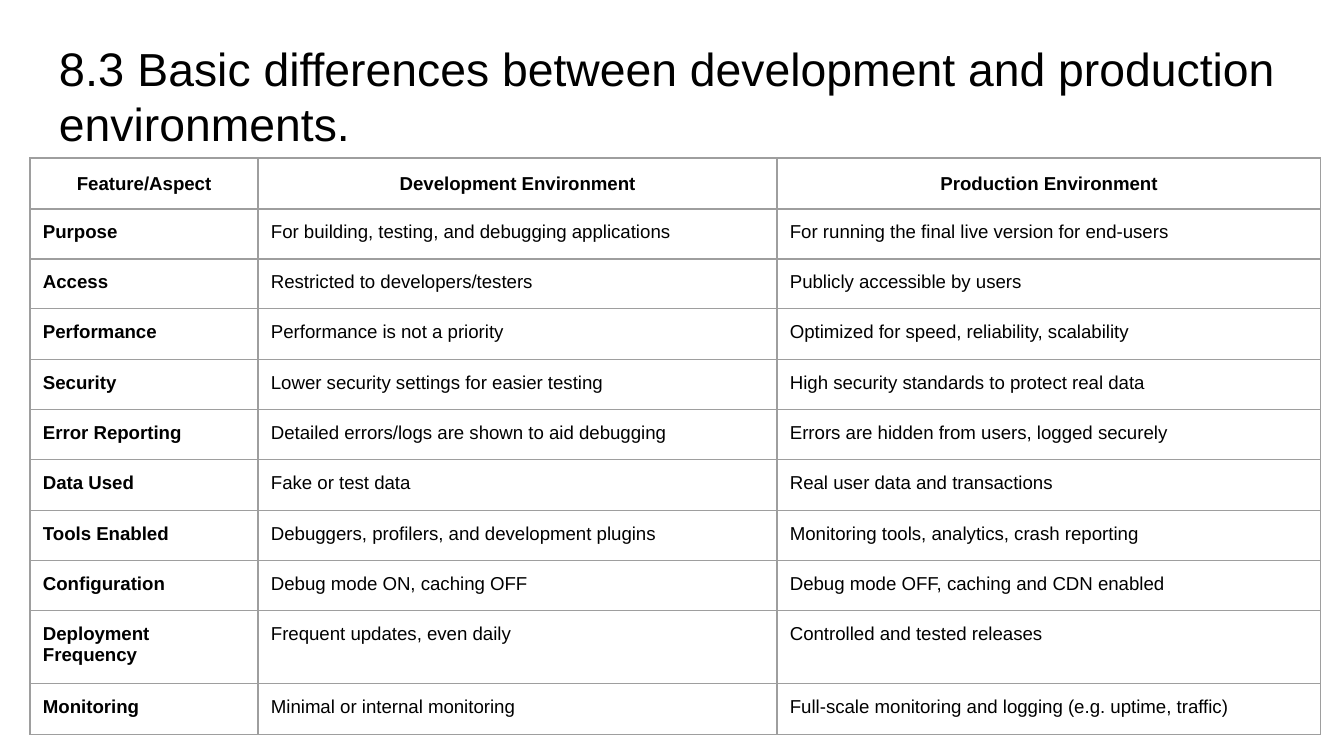
from dataclasses import dataclass

from lxml.etree import SubElement
from pptx import Presentation
from pptx.dml.color import RGBColor
from pptx.enum.text import MSO_ANCHOR as Anchor, MSO_AUTO_SIZE as AutoSize, PP_ALIGN as Align
from pptx.oxml.ns import qn
from pptx.util import Emu, Pt

EMU_PER_PX = 914400 / 134.4


def px(length):
    return Emu(round(length * EMU_PER_PX))


@dataclass(frozen=True)
class Theme:
    font: str = "Arial"
    ink: str = "000000"
    rule: str = "9E9E9E"
    number_size: float = 25.2
    title_size: float = 24.8
    table_size: float = 10
    rule_width: float = 0.75
    inset: int = 13
    title_inset_top: int = 19


class SlideBuilder:
    def __init__(self, deck, theme):
        self.theme = theme
        self.slide = deck.slides.add_slide(deck.slide_layouts[5])

    def format_run(self, run, size, bold=False):
        run.font.name = self.theme.font
        run.font.size = Pt(size)
        run.font.bold = bold
        run.font.color.rgb = RGBColor.from_string(self.theme.ink)

    def set_insets(self, holder, top):
        holder.margin_left = holder.margin_right = px(self.theme.inset)
        holder.margin_bottom = px(self.theme.inset)
        holder.margin_top = px(top)
        holder.vertical_anchor = Anchor.TOP

    def title(self, number, wording, left, top, width, height):
        heading = self.slide.shapes.title
        heading.left, heading.top = px(left), px(top)
        heading.width, heading.height = px(width), px(height)
        frame = heading.text_frame
        frame.word_wrap = True
        frame.auto_size = AutoSize.NONE
        self.set_insets(frame, self.theme.title_inset_top)
        line = frame.paragraphs[0]
        line.alignment = Align.LEFT
        parts = ((number, self.theme.number_size), (wording, self.theme.title_size))
        for text, size in parts:
            run = line.add_run()
            run.text = text
            self.format_run(run, size)

    def table(self, rows, left, top, widths, heights):
        grid = self.slide.shapes.add_table(
            len(rows), len(widths), px(left), px(top), px(sum(widths)), px(sum(heights))
        ).table
        grid.first_row = grid.horz_banding = False
        for column, width in zip(grid.columns, widths):
            column.width = px(width)
        for row, height in zip(grid.rows, heights):
            row.height = px(height)
        for r, texts in enumerate(rows):
            for c, text in enumerate(texts):
                self.cell(grid.cell(r, c), text, header=r == 0, bold=r == 0 or c == 0)

    def cell(self, cell, text, header, bold):
        self.set_insets(cell, self.theme.inset)
        self.borders(cell)
        cell.fill.background()
        cell.text_frame.text = text
        line = cell.text_frame.paragraphs[0]
        line.alignment = Align.CENTER if header else Align.LEFT
        if header:
            line.line_spacing = 1.15
        self.format_run(line.runs[0], self.theme.table_size, bold)

    def borders(self, cell):
        properties = cell._tc.get_or_add_tcPr()
        for side in ("a:lnL", "a:lnR", "a:lnT", "a:lnB"):
            edge = SubElement(properties, qn(side), w=str(Pt(self.theme.rule_width)))
            fill = SubElement(edge, qn("a:solidFill"))
            SubElement(fill, qn("a:srgbClr"), val=self.theme.rule)


COMPARISON = [
    ("Feature/Aspect", "Development Environment", "Production Environment"),
    ("Purpose", "For building, testing, and debugging applications",
     "For running the final live version for end-users"),
    ("Access", "Restricted to developers/testers", "Publicly accessible by users"),
    ("Performance", "Performance is not a priority",
     "Optimized for speed, reliability, scalability"),
    ("Security", "Lower security settings for easier testing",
     "High security standards to protect real data"),
    ("Error Reporting", "Detailed errors/logs are shown to aid debugging",
     "Errors are hidden from users, logged securely"),
    ("Data Used", "Fake or test data", "Real user data and transactions"),
    ("Tools Enabled", "Debuggers, profilers, and development plugins",
     "Monitoring tools, analytics, crash reporting"),
    ("Configuration", "Debug mode ON, caching OFF",
     "Debug mode OFF, caching and CDN enabled"),
    ("Deployment Frequency", "Frequent updates, even daily",
     "Controlled and tested releases"),
    ("Monitoring", "Minimal or internal monitoring",
     "Full-scale monitoring and logging (e.g. uptime, traffic)"),
]


def main():
    deck = Presentation()
    deck.slide_width, deck.slide_height = px(1344), px(756)
    builder = SlideBuilder(deck, Theme())

    # Heading
    builder.title(
        "8.3 ", "Basic differences between development and production environments.",
        left=46, top=20, width=1252, height=84,
    )

    # Comparison table: even rows, with a taller one for the two-line label
    builder.table(
        COMPARISON, left=30, top=158,
        widths=[228, 519, 544], heights=[51, 50, 50] * 3 + [73, 51],
    )

    deck.save("out.pptx")


if __name__ == "__main__":
    main()
